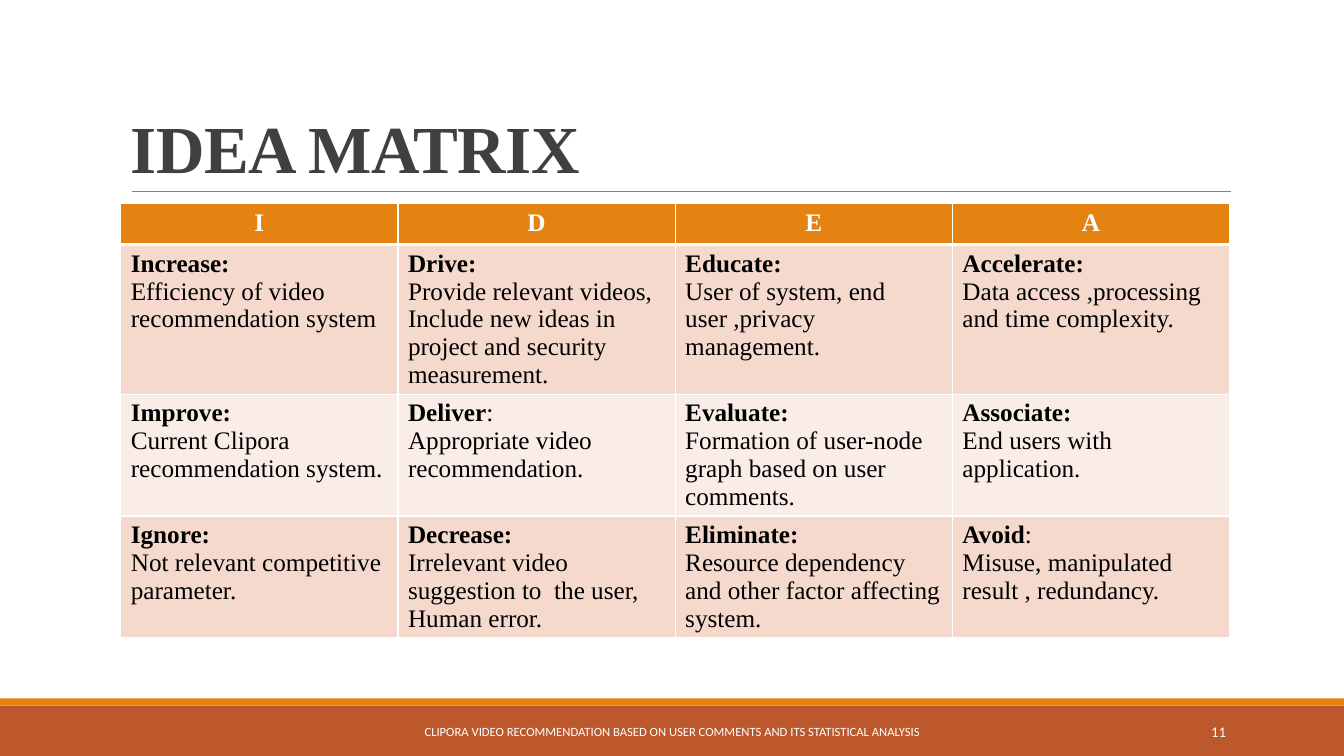
from dataclasses import dataclass

from lxml.etree import SubElement
from pptx import Presentation
from pptx.dml.color import RGBColor
from pptx.enum.shapes import MSO_CONNECTOR, MSO_SHAPE
from pptx.enum.text import MSO_ANCHOR, MSO_AUTO_SIZE, PP_ALIGN
from pptx.oxml.ns import qn
from pptx.slide import Slide
from pptx.table import _Cell
from pptx.text.text import Font
from pptx.util import Emu, Pt

COLORS = {
    "white": "FFFFFF",
    "black": "000000",
    "title": "404040",
    "rule": "808080",
    "orange": "E48312",
    "rust": "BD582C",
    "band_dark": "F5D9CC",
    "band_light": "FAEDE7",
}
SERIF = "Times New Roman"
SANS = "Calibri"
SLIDE_WIDTH, SLIDE_HEIGHT = 1280, 720
COLUMN_WIDTH = 264
ROW_HEIGHTS = (39, 142, 116, 116)


@dataclass(frozen=True)
class Box:
    left: int
    top: int
    width: int
    height: int

    def emu(self) -> tuple[Emu, Emu, Emu, Emu]:
        return px(self.left), px(self.top), px(self.width), px(self.height)


@dataclass(frozen=True)
class Band:
    box: Box
    color: str


@dataclass(frozen=True)
class FooterText:
    box: Box
    text: str
    size: float
    alignment: PP_ALIGN


@dataclass(frozen=True)
class Idea:
    heading: str
    lines: tuple[str, ...]
    bold_colon: bool = True


BANDS = (
    Band(Box(0, 672, SLIDE_WIDTH, 48), "rust"),
    Band(Box(0, 665, SLIDE_WIDTH, 7), "orange"),
)
FOOTER_TEXTS = (
    FooterText(
        Box(387, 678, 506, 38),
        "CLIPORA VIDEO RECOMMENDATION BASED ON USER COMMENTS AND ITS STATISTICAL ANALYSIS",
        9, PP_ALIGN.CENTER,
    ),
    FooterText(Box(1040, 678, 137, 38), "11", 10.5, PP_ALIGN.RIGHT),
)
LETTERS = "IDEA"
IDEAS = (
    (
        Idea("Increase", ("Efficiency of video recommendation system",)),
        Idea("Drive", ("Provide relevant videos,",
                       "Include new ideas in project and security measurement.")),
        Idea("Educate", ("User of system, end user ,privacy management.",)),
        Idea("Accelerate", ("Data access ,processing and time complexity.",)),
    ),
    (
        Idea("Improve", ("Current Clipora recommendation system.",)),
        Idea("Deliver", ("Appropriate video recommendation.",), False),
        Idea("Evaluate", ("Formation of user-node graph based on user comments.",)),
        Idea("Associate", ("End users with application.",)),
    ),
    (
        Idea("Ignore", ("Not relevant competitive parameter.",)),
        Idea("Decrease", ("Irrelevant video suggestion to  the user,", "Human error.")),
        Idea("Eliminate", ("Resource dependency and other factor affecting system.",)),
        Idea("Avoid", ("Misuse, manipulated result , redundancy.",), False),
    ),
)


def px(length: int) -> Emu:
    return Emu(length * 9525)


def rgb(color: str) -> RGBColor:
    return RGBColor.from_string(COLORS[color])


def style_font(font: Font, name: str, size: float, color: str, bold: bool = False) -> None:
    font.name = name
    font.size = Pt(size)
    font.bold = bold
    font.color.rgb = rgb(color)


def add_band(slide: Slide, band: Band) -> None:
    shape = slide.shapes.add_shape(MSO_SHAPE.RECTANGLE, *band.box.emu())
    shape.shadow.inherit = False
    shape.fill.solid()
    shape.fill.fore_color.rgb = rgb(band.color)
    shape.line.fill.background()


def add_title_rule(slide: Slide) -> None:
    rule = slide.shapes.add_connector(
        MSO_CONNECTOR.STRAIGHT, px(126), px(182), px(1172), px(182))
    rule.line.color.rgb = rgb("rule")
    rule.line.width = Pt(0.5)
    SubElement(rule._element.spPr, qn("a:effectLst"))


def set_title(slide: Slide, text: str) -> None:
    title = slide.shapes.title
    title.left, title.top, title.width, title.height = Box(115, 30, 1056, 153).emu()
    frame = title.text_frame
    frame.text = text
    frame.auto_size = MSO_AUTO_SIZE.NONE
    frame.vertical_anchor = MSO_ANCHOR.BOTTOM
    paragraph = frame.paragraphs[0]
    paragraph.alignment = PP_ALIGN.LEFT
    paragraph.line_spacing = 0.85
    run = paragraph.runs[0]
    style_font(run.font, SERIF, 48, "title", bold=True)
    run.font._element.set("spc", "-50")


def style_cell(cell: _Cell, fill: str, top: int, bottom: int) -> None:
    """Give the cell white borders, with top and bottom in points, and a fill."""
    properties = cell._tc.get_or_add_tcPr()
    for side, width in (("L", 1), ("R", 1), ("T", top), ("B", bottom)):
        border = SubElement(properties, qn(f"a:ln{side}"), w=str(Pt(width)))
        solid = SubElement(border, qn("a:solidFill"))
        SubElement(solid, qn("a:srgbClr"), val=COLORS["white"])
    cell.fill.solid()
    cell.fill.fore_color.rgb = rgb(fill)


def write_idea(cell: _Cell, idea: Idea) -> None:
    frame = cell.text_frame
    frame.text = "\n".join((idea.heading, *idea.lines))
    frame.paragraphs[0].add_run().text = ":"
    for paragraph in frame.paragraphs:
        for run in paragraph.runs:
            style_font(run.font, SERIF, 18, "black")
    heading, colon = frame.paragraphs[0].runs
    heading.font.bold = True
    colon.font.bold = idea.bold_colon


def add_idea_table(slide: Slide) -> None:
    box = Box(115, 194, COLUMN_WIDTH * len(LETTERS), sum(ROW_HEIGHTS))
    table = slide.shapes.add_table(len(ROW_HEIGHTS), len(LETTERS), *box.emu()).table
    for row, height in zip(table.rows, ROW_HEIGHTS):
        row.height = px(height)
    for column, letter in enumerate(LETTERS):
        table.columns[column].width = px(COLUMN_WIDTH)
        cell = table.cell(0, column)
        style_cell(cell, "orange", top=1, bottom=3)
        cell.text_frame.text = letter
        paragraph = cell.text_frame.paragraphs[0]
        paragraph.alignment = PP_ALIGN.CENTER
        style_font(paragraph.runs[0].font, SERIF, 18, "white", bold=True)
    for row_number, ideas in enumerate(IDEAS, start=1):
        fill = "band_dark" if row_number % 2 else "band_light"
        for column, idea in enumerate(ideas):
            cell = table.cell(row_number, column)
            style_cell(cell, fill, top=3 if row_number == 1 else 1, bottom=1)
            write_idea(cell, idea)


def add_footer_text(slide: Slide, footer: FooterText) -> None:
    frame = slide.shapes.add_textbox(*footer.box.emu()).text_frame
    frame.word_wrap = True
    frame.vertical_anchor = MSO_ANCHOR.MIDDLE
    frame.text = footer.text
    paragraph = frame.paragraphs[0]
    paragraph.alignment = footer.alignment
    style_font(paragraph.runs[0].font, SANS, footer.size, "white")


def main() -> None:
    presentation = Presentation()
    presentation.slide_width = px(SLIDE_WIDTH)
    presentation.slide_height = px(SLIDE_HEIGHT)
    slide = presentation.slides.add_slide(presentation.slide_layouts[5])
    for band in BANDS:
        add_band(slide, band)
    add_title_rule(slide)
    set_title(slide, "IDEA MATRIX")
    add_idea_table(slide)
    for footer in FOOTER_TEXTS:
        add_footer_text(slide, footer)
    presentation.save("out.pptx")


if __name__ == "__main__":
    main()
